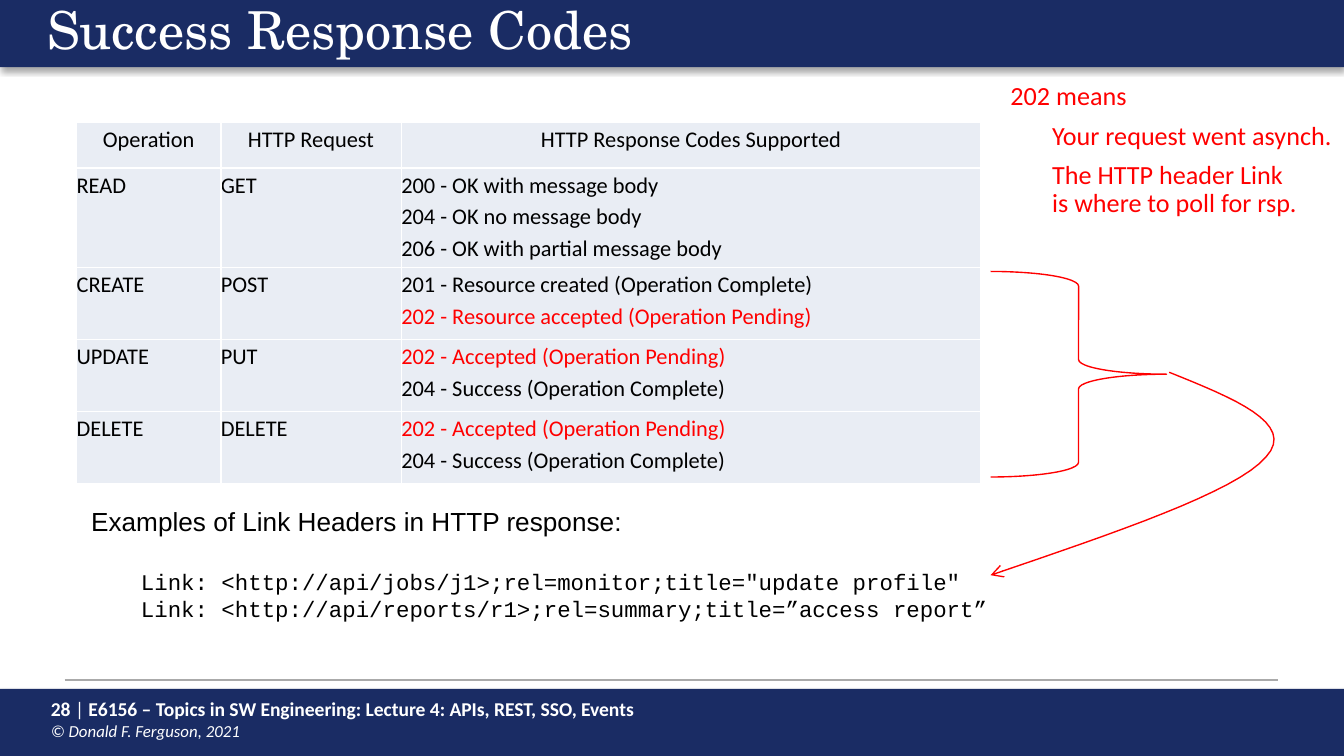
from itertools import product
from lxml.etree import SubElement
from pptx import Presentation
from pptx.dml.color import RGBColor
from pptx.enum.shapes import MSO_CONNECTOR as Conn, MSO_SHAPE as Shape
from pptx.enum.text import MSO_ANCHOR as Anchor, MSO_AUTO_SIZE as Fit, PP_ALIGN as Align
from pptx.oxml import parse_xml
from pptx.oxml.ns import nsdecls, qn
from pptx.util import Inches, Pt

NAVY, RED, BLACK, WHITE = "1A2C64", "FF0000", "000000", "FFFFFF"
deck = Presentation()
deck.slide_width = Inches(10)
deck.slide_height = deck.slide_width * 9 // 16
slide = deck.slides.add_slide(deck.slide_layouts[5])
shapes = slide.shapes
unit = deck.slide_width / 100  # the grid has 100 columns of square cells


def grid(*cells):
    return [round(cell * unit) for cell in cells]


def style(font, name, size, color, bold=False, italic=False):
    font.name, font.size = name, Pt(size)
    font.bold, font.italic = bold, italic
    font.color.rgb = RGBColor.from_string(color)


# Header and footer bars
for top, high in ((51.25, 5), (0, 5)):
    bar = shapes.add_shape(Shape.RECTANGLE, *grid(0, top, 100, high))
    bar.fill.solid()
    bar.fill.fore_color.rgb = RGBColor.from_string(NAVY)
    bar.line.fill.background()
    bar._element.spPr.append(parse_xml(
        f'<a:effectLst {nsdecls("a")}><a:outerShdw blurRad="{Pt(3.1)}" dist="{Pt(1.8)}"'
        ' dir="5400000" rotWithShape="0"><a:srgbClr val="000000"><a:alpha val="35000"/>'
        '</a:srgbClr></a:outerShdw></a:effectLst>'))

# Footer rule and text
rule = shapes.add_connector(Conn.STRAIGHT, *grid(4.8, 50.6, 95.1, 50.6))
rule.line.color.rgb = RGBColor.from_string("AAAAAA")
rule.line.width = Pt(0.75)
SubElement(rule._element.spPr, qn("a:effectLst"))

foot = shapes.add_textbox(*grid(2.8, 51.4, 74.2, 4.3)).text_frame
foot.word_wrap = True
para = foot.paragraphs[0]
for text, size, bold, italic in (
        ("28 ", 10.5, True, False), ("|", 10.5, False, False),
        (" E6156 – Topics in SW Engineering: Lecture 4: APIs, REST, SSO, Events", 10.5, True, False),
        ("© Donald F. Ferguson, 2021", 9, False, True)):
    if italic:
        para.add_line_break()
    run = para.add_run()
    run.text = text
    style(run.font, "Calibri", size, WHITE, bold, italic)

# Title, raised above the header bar
title = shapes.title
title.left, title.top, title.width, title.height = grid(2.5, -0.2, 90.6, 4.2)
shapes._spTree.append(title._element)
frame = title.text_frame
frame.text = "Success Response Codes"
frame.vertical_anchor, frame.auto_size = Anchor.TOP, Fit.NONE
para = frame.paragraphs[0]
para.alignment, para.line_spacing = Align.LEFT, 0.9
style(para.font, "TeX Gyre Schola", 28, WHITE)

# Table of response codes; pending codes are red
rows = (
    ("Operation", "HTTP Request", "HTTP Response Codes Supported"),
    ("READ", "GET", "200 - OK with message body\n204 - OK no message body\n"
                    "206 - OK with partial message body"),
    ("CREATE", "POST", "201 - Resource created (Operation Complete)\n"
                       "202 - Resource accepted (Operation Pending)"),
    *((name, verb, "202 - Accepted (Operation Pending)\n204 - Success (Operation Complete)")
      for name, verb in (("UPDATE", "PUT"), ("DELETE", "DELETE"))),
)
table = shapes.add_table(5, 3, *grid(5.7, 9.1, 67.3, 26.9)).table
table.first_row = table.horz_banding = False
for col, wide in zip(table.columns, grid(10.73, 13.43, 43.14)):
    col.width = wide
for row, high in zip(table.rows, grid(3.4, 7.4, 5.36, 5.36, 5.36)):
    row.height = high
for r, c in product(range(5), range(3)):
    cell = table.cell(r, c)
    cell.margin_left = cell.margin_right = cell.margin_top = cell.margin_bottom = 0
    for side in "LRTB":
        cell._tc.get_or_add_tcPr().append(parse_xml(
            f'<a:ln{side} {nsdecls("a")} w="{Pt(1)}"><a:solidFill>'
            f'<a:srgbClr val="{WHITE}"/></a:solidFill></a:ln{side}>'))
    cell.fill.solid()
    cell.fill.fore_color.rgb = RGBColor.from_string("E9EDF4")
    cell.text = rows[r][c]
    for para in cell.text_frame.paragraphs:
        para.line_spacing = 1.15
        para.alignment = Align.LEFT if r else Align.CENTER
        style(para.font, "Calibri", 12, RED if "Pending" in para.text else BLACK)

# Link header examples
frame = shapes.add_textbox(*grid(5.8, 37.1, 74.2, 9.8)).text_frame
frame.word_wrap = True
frame.text = ('Examples of Link Headers in HTTP response:\n'
              'Link: <http://api/jobs/j1>;rel=monitor;title="update profile"\n'
              'Link: <http://api/reports/r1>;rel=summary;title=”access report”')
head, *links = frame.paragraphs
style(head.font, "Arial", 14, BLACK)
for link in links:
    link._p.get_or_add_pPr().set("marL", str(Inches(0.37)))
    style(link.font, "Courier New", 12, BLACK)
links[0].space_before = Pt(17)

# Brace and curved arrow from its tip to the examples
brace = shapes.add_shape(Shape.RIGHT_BRACE, *grid(73.7, 20.2, 13.1, 15.3))
ends = (((87, 27.7), (91.7, 29.6), (96.5, 31.5), (94.2, 34)),
        ((94.2, 34), (92, 36.6), (82.8, 39.7), (73.7, 42.8)))
steps = 16
dots = []
for curve in ends:
    for i in range(1, steps + 1):
        t = i / steps
        parts = ((1 - t) ** 3, 3 * t * (1 - t) ** 2, 3 * t * t * (1 - t), t ** 3)
        dots.append(grid(*(sum(p * dot[axis] for p, dot in zip(parts, curve))
                           for axis in (0, 1))))
pen = shapes.build_freeform(*grid(*ends[0][0]))
pen.add_line_segments(dots, close=False)
arrow = pen.convert_to_shape()
for mark in (brace, arrow):
    mark.shadow.inherit = False
    mark.fill.background()
    mark.line.color.rgb = RGBColor.from_string(RED)
    mark.line.width = Pt(0.75)
SubElement(arrow.line._get_or_add_ln(), qn("a:tailEnd"), type="arrow")

# Note on code 202
frame = shapes.add_textbox(*grid(74.2, 5.7, 25.8, 10)).text_frame
frame.word_wrap = False
frame.margin_right = 0
frame.text = ("202 means\nYour request went asynch.\n"
              "The HTTP header Link\vis where to poll for rsp.")
for i, para in enumerate(frame.paragraphs):
    para.line_spacing = 0.9
    if i:
        para.space_before = Pt(6)
        para._p.get_or_add_pPr().set("marL", str(Inches(0.31)))
    style(para.font, "Calibri", 14, RED)

deck.save("out.pptx")
